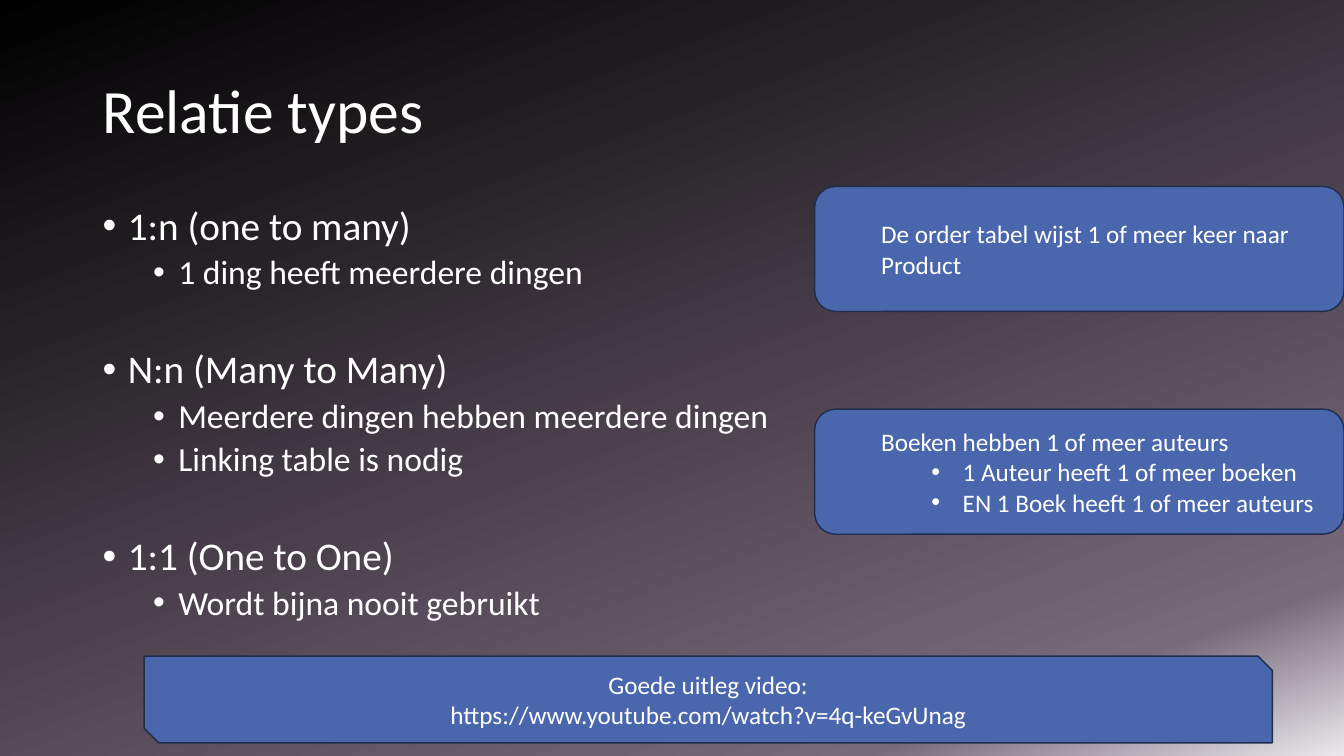
from dataclasses import dataclass

from lxml import etree
from pptx import Presentation
from pptx.dml.color import RGBColor
from pptx.enum.shapes import MSO_SHAPE
from pptx.enum.text import MSO_ANCHOR, PP_ALIGN
from pptx.oxml.ns import qn
from pptx.util import Inches, Pt

ROUNDED = MSO_SHAPE.ROUNDED_RECTANGLE
SNIPPED = MSO_SHAPE.SNIP_2_DIAG_RECTANGLE
MIDDLE = MSO_ANCHOR.MIDDLE
TOP = MSO_ANCHOR.TOP
LEFT = PP_ALIGN.LEFT
CENTER = PP_ALIGN.CENTER


@dataclass(frozen=True)
class Theme:
    font: str = "Calibri"
    text: str = "FFFFFF"
    fill: str = "4A66AC"
    line: str = "202D4B"
    backdrop: tuple = ((0, "000000"), (86, "78697B"), (100, "EBE9EC"))
    backdrop_angle: int = 70
    title_size: int = 44
    topic_size: int = 28
    detail_size: int = 24
    note_size: int = 18


THEME = Theme()

TOPICS = [
    ("1:n (one to many)", ["1 ding heeft meerdere dingen"]),
    ("N:n (Many to Many)", ["Meerdere dingen hebben meerdere dingen", "Linking table is nodig"]),
    ("1:1 (One to One)", ["Wordt bijna nooit gebruikt"]),
]


def write_paragraph(frame, text, *, size, align=LEFT, margin=0, hanging=0,
                    bullet=False, before=0, spacing=1.0):
    """Fill the frame's empty first paragraph, or add another one."""
    para = frame.paragraphs[0] if not frame.text else frame.add_paragraph()
    properties = para._p.get_or_add_pPr()
    properties.set("marL", str(Inches(margin)))
    properties.set("indent", str(Inches(-hanging)))
    if bullet:
        etree.SubElement(properties, qn("a:buFont"), typeface="Arial")
        etree.SubElement(properties, qn("a:buChar"), char="•")
    para.alignment = align
    para.line_spacing = spacing
    para.space_before = Pt(before)
    span = para.add_run()
    span.text = text
    span.font.name = THEME.font
    span.font.size = Pt(size)
    span.font.color.rgb = RGBColor.from_string(THEME.text)


def paint_background(page):
    fill = page.background.fill
    fill.gradient()
    fill.gradient_angle = 360 - THEME.backdrop_angle
    stops = page._element.find(".//" + qn("a:gsLst"))
    for stop in list(stops):
        stops.remove(stop)
    for percent, color in THEME.backdrop:
        stop = etree.SubElement(stops, qn("a:gs"), pos=str(percent * 1000))
        etree.SubElement(stop, qn("a:srgbClr"), val=color)


def place_title(page, text, left, top, width, height):
    title = page.shapes.title
    title.left, title.top = Inches(left), Inches(top)
    title.width, title.height = Inches(width), Inches(height)
    title.text_frame.vertical_anchor = MIDDLE
    write_paragraph(title.text_frame, text, size=THEME.title_size, spacing=0.9)


def place_topics(page, topics, left, top, width, height):
    box = page.shapes.add_textbox(Inches(left), Inches(top), Inches(width), Inches(height))
    frame = box.text_frame
    frame.word_wrap = True
    frame.vertical_anchor = TOP
    for index, (topic, details) in enumerate(topics):
        write_paragraph(frame, topic, size=THEME.topic_size, margin=0.25, hanging=0.25,
                        bullet=True, before=41.4 if index else 0, spacing=0.9)
        for detail in details:
            write_paragraph(frame, detail, size=THEME.detail_size, margin=0.75, hanging=0.25,
                            bullet=True, before=5, spacing=0.9)


def place_panel(page, kind, left, top, width, height):
    """Add a filled panel and return its text frame."""
    panel = page.shapes.add_shape(kind, Inches(left), Inches(top), Inches(width), Inches(height))
    panel.shadow.inherit = False
    panel.fill.solid()
    panel.fill.fore_color.rgb = RGBColor.from_string(THEME.fill)
    panel.line.color.rgb = RGBColor.from_string(THEME.line)
    panel.line.width = Pt(1)
    frame = panel.text_frame
    frame.word_wrap = True
    frame.vertical_anchor = MIDDLE
    return frame


def place_example(page, statement, points, left, top, width, height):
    frame = place_panel(page, ROUNDED, left, top, width, height)
    write_paragraph(frame, statement, size=THEME.note_size, margin=0.5)
    for point in points:
        write_paragraph(frame, point, size=THEME.note_size, margin=1.31, hanging=0.31, bullet=True)


def place_video_banner(page, lines, left, top, width, height):
    frame = place_panel(page, SNIPPED, left, top, width, height)
    for line in lines:
        write_paragraph(frame, line, size=THEME.note_size, align=CENTER)


def main():
    deck = Presentation()
    deck.slide_width, deck.slide_height = Inches(13.33), Inches(7.5)
    page = deck.slides.add_slide(deck.slide_layouts.get_by_name("Title Only"))
    paint_background(page)

    # Title and relation types
    place_title(page, "Relatie types", 0.92, 0.4, 11.5, 1.45)
    place_topics(page, TOPICS, 0.92, 2, 11.7, 4.76)

    # Video link along the bottom
    place_video_banner(page, ["Goede uitleg video:", "https://www.youtube.com/watch?v=4q-keGvUnag"],
                       1.43, 6.51, 11.19, 0.86)

    # Examples beside the types
    place_example(page, "De order tabel wijst 1 of meer keer naar Product", [],
                  8.08, 1.85, 5.25, 1.24)
    place_example(page, "Boeken hebben 1 of meer auteurs",
                  ["1 Auteur heeft 1 of meer boeken", "EN 1 Boek heeft 1 of meer auteurs"],
                  8.08, 4.06, 5.25, 1.24)
    deck.save("out.pptx")


if __name__ == "__main__":
    main()
